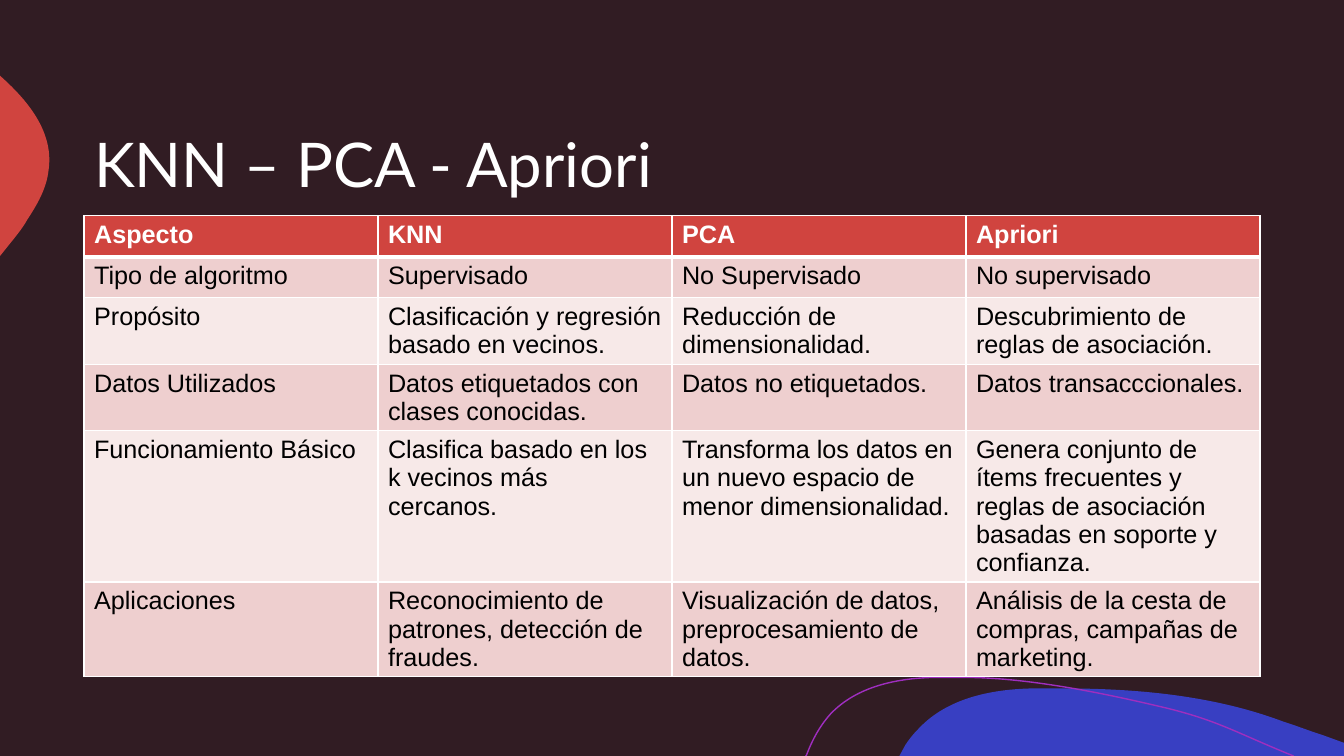
from lxml import etree
from pptx import Presentation
from pptx.dml.color import RGBColor
from pptx.enum.text import MSO_ANCHOR, MSO_AUTO_SIZE, PP_ALIGN
from pptx.oxml.ns import qn
from pptx.util import Inches, Pt

MIDDLE = MSO_ANCHOR.MIDDLE
NO_FIT = MSO_AUTO_SIZE.NONE
LEFT = PP_ALIGN.LEFT

PLUM = RGBColor(0x31, 0x1C, 0x23)
RED = RGBColor(0xD0, 0x44, 0x3F)
BLUE = RGBColor(0x38, 0x3F, 0xC2)
PURPLE = RGBColor(0x9F, 0x2E, 0xBF)
ROSE = RGBColor(0xEE, 0xCF, 0xCF)
PALE_ROSE = RGBColor(0xF7, 0xE9, 0xE8)
WHITE = RGBColor(0xFF, 0xFF, 0xFF)
BLACK = RGBColor(0, 0, 0)

GRID_COLUMNS, GRID_ROWS = 16, 9

BLUE_WAVE = [
    [(10.54, 6.83)],
    [(11.28, 6.83), (12.04, 6.9), (12.73, 7.16)],
    [(12.86, 7.2), (12.98, 7.25), (13.11, 7.29)],
    [(13.33, 7.37)], [(13.33, 7.5)], [(8.92, 7.5)], [(8.98, 7.39)],
    [(9.02, 7.33), (9.06, 7.28), (9.11, 7.23)],
    [(9.39, 6.93), (9.82, 6.84), (10.23, 6.83)],
    [(10.33, 6.83), (10.43, 6.83), (10.54, 6.83)],
]
RED_BULGE = [
    [(0, 0.75)], [(0.01, 0.76)],
    [(0.3, 1.02), (0.54, 1.33), (0.48, 1.7)],
    [(0.46, 1.87), (0.37, 2.03), (0.27, 2.18)],
    [(0.24, 2.24), (0.17, 2.33), (0.08, 2.44)],
    [(0, 2.54)],
]
PURPLE_CURVE = [
    [(7.99, 7.5)], [(8, 7.49)],
    [(8.06, 7.33), (8.14, 7.19), (8.24, 7.08)],
    [(8.5, 6.81), (8.89, 6.73), (9.26, 6.72)],
    [(9.55, 6.72)],
    [(10.22, 6.72), (11, 6.89), (11.55, 7.02)],
    [(12.09, 7.15), (12.26, 7.27), (12.83, 7.5)],
]

COMPARISON = [
    ["Aspecto", "KNN", "PCA", "Apriori"],
    ["Tipo de algoritmo", "Supervisado", "No Supervisado", "No supervisado"],
    ["Propósito", "Clasificación y regresión basado en vecinos.",
     "Reducción de dimensionalidad.", "Descubrimiento de reglas de asociación."],
    ["Datos Utilizados", "Datos etiquetados con clases conocidas.",
     "Datos no etiquetados.", "Datos transacccionales."],
    ["Funcionamiento Básico", "Clasifica basado en los k vecinos más cercanos.",
     "Transforma los datos en un nuevo espacio de menor dimensionalidad.",
     "Genera conjunto de ítems frecuentes y reglas de asociación basadas en "
     "soporte y confianza."],
    ["Aplicaciones", "Reconocimiento de patrones, detección de fraudes.",
     "Visualización de datos, preprocesamiento de datos.",
     "Análisis de la cesta de compras, campañas de marketing."],
]


class SlideBuilder:
    title_font, body_font = "Lato", "Arial"

    def __init__(self, deck):
        self.column = deck.slide_width / GRID_COLUMNS
        self.row = deck.slide_height / GRID_ROWS
        self.page = deck.slides.add_slide(deck.slide_layouts[5])
        fill = self.page.background.fill
        fill.solid()
        fill.fore_color.rgb = PLUM

    def place(self, left, top, width, height):
        return (round(left * self.column), round(top * self.row),
                round(width * self.column), round(height * self.row))

    def style(self, para, font_name, size, color, bold=False):
        para.font.name = font_name
        para.font.size = Pt(size)
        para.font.color.rgb = color
        para.font.bold = bold

    def title(self, text, *area):
        box = self.page.shapes.title
        box.left, box.top, box.width, box.height = self.place(*area)
        frame = box.text_frame
        frame.text = text
        frame.word_wrap = True
        frame.auto_size = NO_FIT
        frame.vertical_anchor = MIDDLE
        para = frame.paragraphs[0]
        para.alignment = LEFT
        para.line_spacing = 0.9
        self.style(para, self.title_font, 44, WHITE)

    def outline(self, segments, fill=None, line=None):
        anchors = [(Inches(x), Inches(y)) for x, y in (part[-1] for part in segments)]
        builder = self.page.shapes.build_freeform(*anchors[0])
        builder.add_line_segments(anchors[1:], close=fill is not None)
        shape = builder.convert_to_shape()
        self.bend(shape, segments)
        shape.shadow.inherit = False
        if fill is None:
            shape.fill.background()
            shape.line.color.rgb = line
            shape.line.width = Pt(1)
        else:
            shape.fill.solid()
            shape.fill.fore_color.rgb = fill
            shape.line.fill.background()

    def bend(self, shape, segments):
        straight_lines = list(shape._element.iter(qn("a:lnTo")))
        for straight, segment in zip(straight_lines, segments[1:]):
            if len(segment) == 1:
                continue
            curve = etree.Element(qn("a:cubicBezTo"))
            for x, y in segment:
                etree.SubElement(curve, qn("a:pt"), x=str(Inches(x) - shape.left),
                                 y=str(Inches(y) - shape.top))
            straight.getparent().replace(straight, curve)

    def borders(self, cell, bottom):
        properties = cell._tc.get_or_add_tcPr()
        for side, width in (("L", 1), ("R", 1), ("T", 1), ("B", bottom)):
            line = etree.SubElement(properties, qn(f"a:ln{side}"), w=str(Pt(width)))
            solid = etree.SubElement(line, qn("a:solidFill"))
            etree.SubElement(solid, qn("a:srgbClr"), val=str(WHITE))

    def table(self, rows, *area):
        table = self.page.shapes.add_table(len(rows), len(rows[0]), *self.place(*area)).table
        for row_index, texts in enumerate(rows):
            header = row_index == 0
            fill = RED if header else (PALE_ROSE, ROSE)[row_index % 2]
            for column_index, text in enumerate(texts):
                cell = table.cell(row_index, column_index)
                self.borders(cell, 3 if header else 1)
                cell.fill.solid()
                cell.fill.fore_color.rgb = fill
                cell.text = text
                self.style(cell.text_frame.paragraphs[0], self.body_font, 18,
                           WHITE if header else BLACK, header)


def main():
    deck = Presentation()
    deck.slide_width, deck.slide_height = Inches(13.33), Inches(7.5)
    slide = SlideBuilder(deck)
    slide.outline(BLUE_WAVE, fill=BLUE)
    slide.outline(RED_BULGE, fill=RED)
    slide.outline(PURPLE_CURVE, line=PURPLE)
    slide.title("KNN – PCA - Apriori", 1, 1, 14, 2)
    slide.table(COMPARISON, 1, 2.57, 14, 2.92)
    deck.save("out.pptx")


if __name__ == "__main__":
    main()
